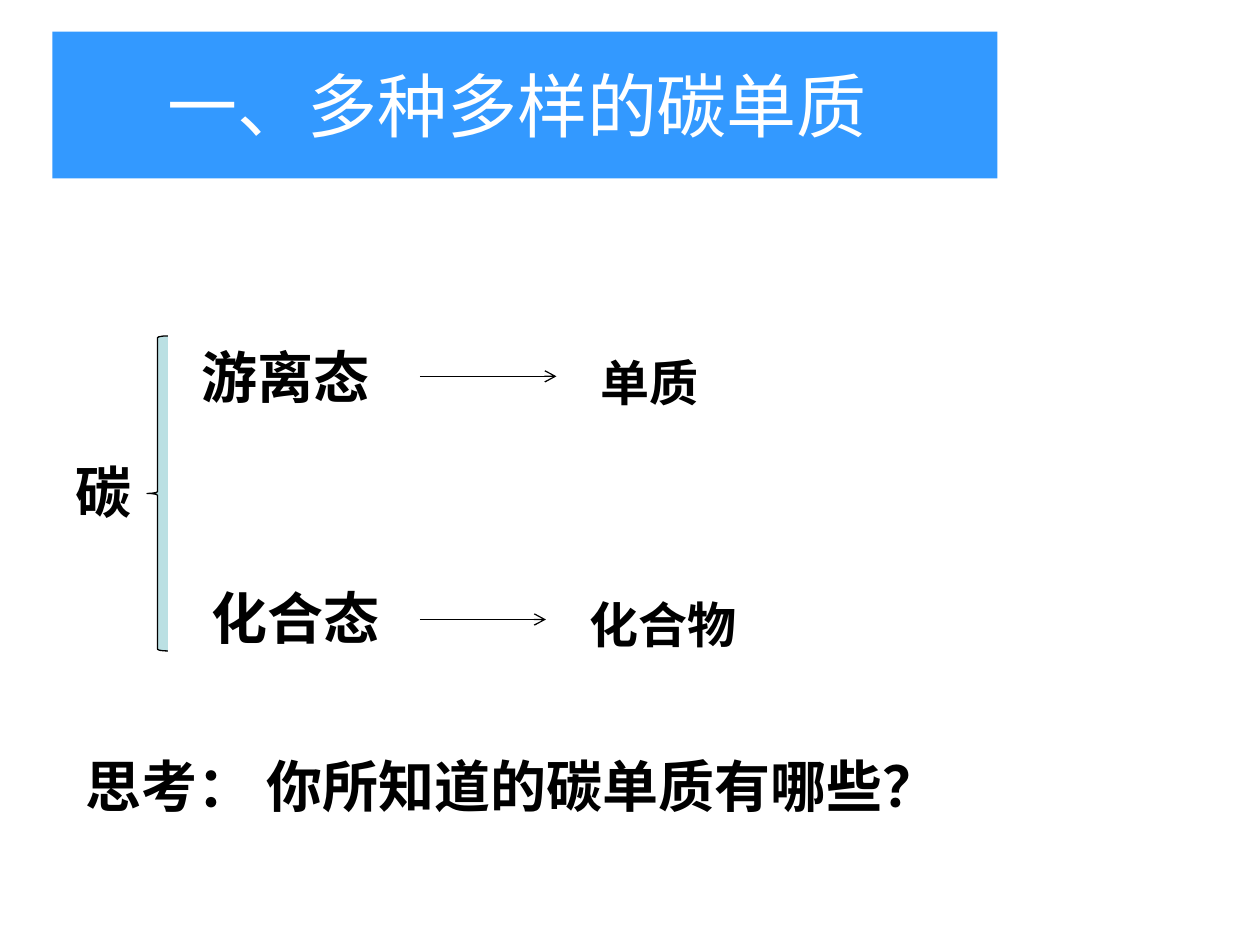
from lxml.etree import SubElement
from pptx import Presentation
from pptx.dml.color import RGBColor
from pptx.enum.lang import MSO_LANGUAGE_ID
from pptx.enum.shapes import MSO_CONNECTOR, MSO_SHAPE
from pptx.enum.text import MSO_ANCHOR, MSO_AUTO_SIZE, PP_ALIGN
from pptx.oxml.ns import qn
from pptx.util import Inches, Pt

COLORS = {"ink": "000000", "banner": "3399FF", "title": "FFFFFF", "brace": "BBE0E3"}
CELL = 1 / 12  # grid cell in inches: 120 columns by 90 rows


def grid(*cells):
    return [Inches(cell * CELL) for cell in cells]


def color(name):
    return RGBColor.from_string(COLORS[name])


class LessonSlide:
    heading_font = "Arial"
    body_font = "Times New Roman"
    line_width = Pt(0.75)

    def __init__(self, deck):
        self.slide = deck.slides.add_slide(deck.slide_layouts[5])
        self.shapes = self.slide.shapes

    def set_words(self, frame, words, size, font, ink, bold):
        frame.text = words
        for run in frame.paragraphs[0].runs:
            run.font.name = font
            run.font.size = Pt(size)
            run.font.bold = bold
            run.font.color.rgb = color(ink)
            run.font.language_id = MSO_LANGUAGE_ID.SIMPLIFIED_CHINESE

    def title(self, words, col, row, cols, rows):
        banner = self.shapes.title
        banner.left, banner.top, banner.width, banner.height = grid(col, row, cols, rows)
        banner.fill.solid()
        banner.fill.fore_color.rgb = color("banner")
        frame = banner.text_frame
        self.set_words(frame, words, 40, self.heading_font, "title", False)
        frame.auto_size = MSO_AUTO_SIZE.NONE
        frame.vertical_anchor = MSO_ANCHOR.MIDDLE
        frame.paragraphs[0].alignment = PP_ALIGN.CENTER

    def label(self, words, col, row, cols, size=32):
        rows = 7.68 if size == 32 else 6.84
        box = self.shapes.add_textbox(*grid(col, row, cols, rows))
        frame = box.text_frame
        frame.word_wrap = True
        frame.auto_size = MSO_AUTO_SIZE.SHAPE_TO_FIT_TEXT
        self.set_words(frame, words, size, self.body_font, "ink", True)
        return box

    def brace(self, col, row, cols, rows):
        brace = self.shapes.add_shape(MSO_SHAPE.LEFT_BRACE, *grid(col, row, cols, rows))
        brace.shadow.inherit = False
        brace.fill.solid()
        brace.fill.fore_color.rgb = color("brace")
        brace.line.color.rgb = color("ink")
        brace.line.width = self.line_width

    def arrow(self, start, end, row):
        arrow = self.shapes.add_connector(MSO_CONNECTOR.STRAIGHT, *grid(start, row, end, row))
        arrow.line.color.rgb = color("ink")
        arrow.line.width = self.line_width
        properties = arrow._element.spPr
        SubElement(properties.find(qn("a:ln")), qn("a:tailEnd"), type="arrow")
        SubElement(properties, qn("a:effectLst"))
        return arrow


def main():
    deck = Presentation()
    deck.slide_width, deck.slide_height = grid(120, 90)
    lesson = LessonSlide(deck)

    # Heading
    lesson.title("一、多种多样的碳单质 ", 5, 3, 90, 14)

    # Carbon and its two states
    lesson.label("碳", 6, 43, 6)
    lesson.brace(14, 32, 2, 30)
    free_state = lesson.label("游离态", 18, 32, 22)
    lesson.label("化合态", 19, 55, 20)

    # What each state forms
    to_element = lesson.arrow(40, 53, 35.84)
    to_element.begin_connect(free_state, 3)
    lesson.label("单质", 56, 33, 24, size=28)
    lesson.arrow(40, 52, 59)
    lesson.label("化合物", 55, 56, 19, size=28)

    # Question
    lesson.label("思考： 你所知道的碳单质有哪些？", 7, 71, 102)

    deck.save("out.pptx")


if __name__ == "__main__":
    main()
